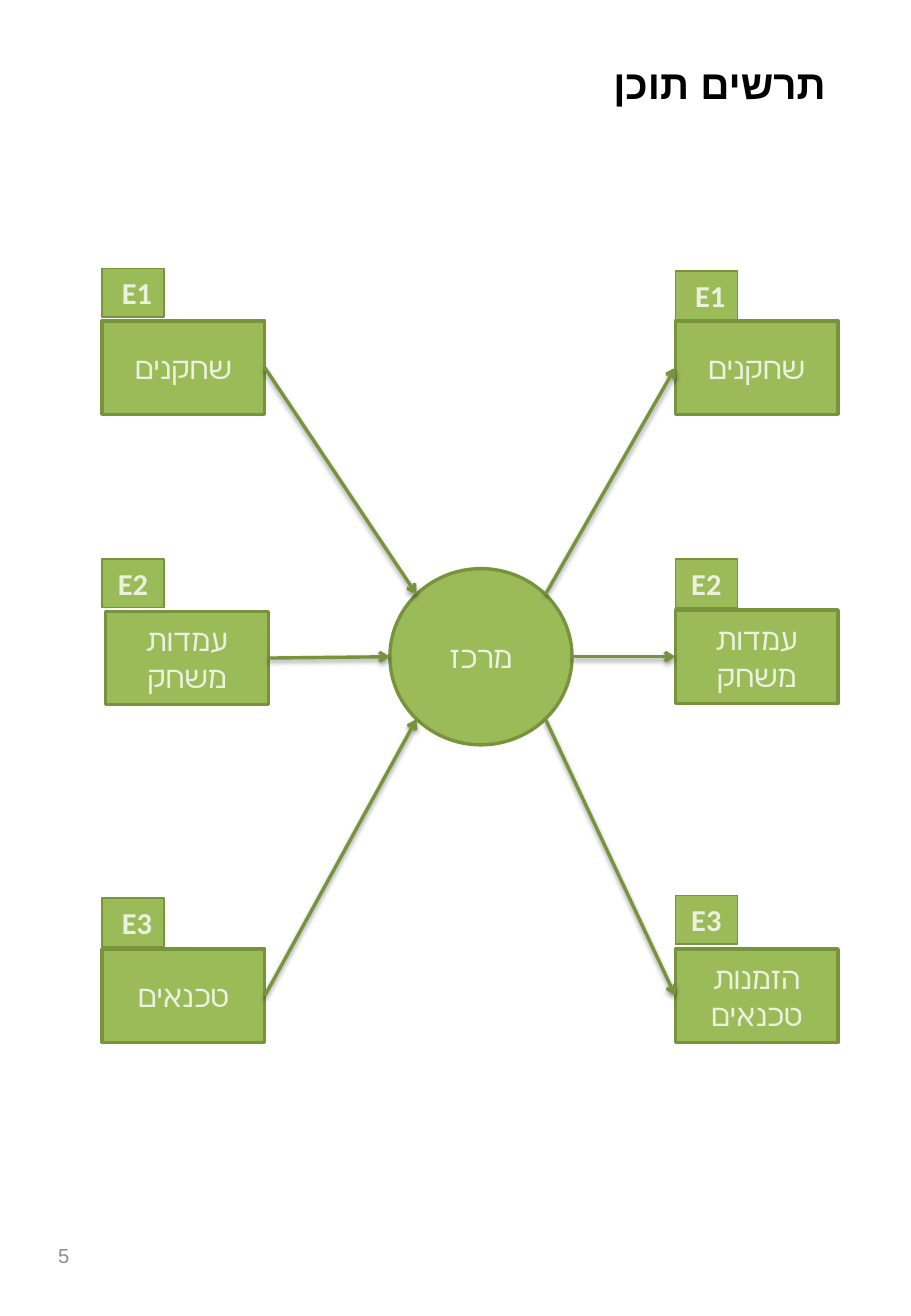
import math
import pptx
import pptx.util
import pptx.dml.color
import pptx.enum.shapes
import pptx.enum.text
import pptx.oxml
import pptx.oxml.ns

Shape = pptx.enum.shapes.MSO_SHAPE
Align = pptx.enum.text.PP_ALIGN
Anchor = pptx.enum.text.MSO_ANCHOR
Fit = pptx.enum.text.MSO_AUTO_SIZE
Pt = pptx.util.Pt

GREEN, DARK_GREEN, PALE = "9BBB59", "77933C", "EBF1DE"
NAMESPACE = 'xmlns:a="http://schemas.openxmlformats.org/drawingml/2006/main"'
ARROWHEAD = f'<a:tailEnd {NAMESPACE} type="arrow"/>'
SOFT_SHADOW = (
    f'<a:effectLst {NAMESPACE}><a:outerShdw blurRad="{Pt(3.1)}" dist="{Pt(1.6)}" '
    'dir="5400000" rotWithShape="0"><a:srgbClr val="000000"><a:alpha val="38000"/>'
    '</a:srgbClr></a:outerShdw></a:effectLst>')


def hue(code):
    """Turn a hex string into a colour."""
    return pptx.dml.color.RGBColor.from_string(code)


def write(holder, text, size=18, font="Calibri", color=PALE, bold=False,
          align=Align.CENTER, anchor=Anchor.MIDDLE, fit=Fit.NONE):
    """Fill a shape with right-to-left text, one paragraph per line."""
    frame = holder.text_frame
    frame.text = text
    frame.word_wrap = True
    frame.vertical_anchor = anchor
    frame.auto_size = fit
    for paragraph in frame.paragraphs:
        paragraph.alignment = align
        paragraph._p.get_or_add_pPr().set("rtl", "1")
        for run in paragraph.runs:
            run.font.size, run.font.name, run.font.bold = Pt(size), font, bold
            run.font.color.rgb = hue(color)
            script_font = run._r.get_or_add_rPr().makeelement(
                pptx.oxml.ns.qn("a:cs"), {"typeface": font})
            run._r.rPr.append(script_font)


deck = pptx.Presentation()
deck.slide_width = pptx.util.Inches(7.5)
deck.slide_height = pptx.util.Inches(10.83)
column, row = deck.slide_width / 100, deck.slide_height / 100
slide = deck.slides.add_slide(deck.slide_layouts[5])

heading = slide.shapes.title
heading.left, heading.top = round(6.93 * column), round(2.77 * row)
heading.width, heading.height = round(85.07 * column), round(7.11 * row)
write(heading, "תרשים תוכן", size=24, font="Arial", color="000000", bold=True,
      align=Align.RIGHT)

page_number = slide.shapes.add_textbox(
    round(5.07 * column), round(92.71 * row), round(23.33 * column), round(5.36 * row))
write(page_number, "5", size=12, font="Arial", color="8C8C8C", align=Align.LEFT)

# Places are in hundredths of the slide: columns across, rows down
SOURCES, TARGETS = 11.2, 74.13
BOX, TAG, HUB = (17.87, 7.11), (6.8, 3.69), (20, 13.39)
entities = [
    # side, box shift, box top, box text, tag top, tag text, tag alignment
    (SOURCES, 0, 24.38, "שחקנים", 20.41, "E1", Align.RIGHT),
    (SOURCES, 0.4, 46.45, "עמדות משחק", 42.47, "E2", Align.CENTER),
    (SOURCES, 0, 72.11, "טכנאים", 68.24, "E3", Align.RIGHT),
    (TARGETS, 0, 24.38, "שחקנים", 20.59, "E1", Align.RIGHT),
    (TARGETS, 0, 46.35, "עמדות משחק", 42.47, "E2", Align.CENTER),
    (TARGETS, 0, 72.11, "הזמנות\nטכנאים", 68.05, "E3", Align.CENTER),
]
tag_format = {"bold": True, "anchor": Anchor.TOP, "fit": Fit.SHAPE_TO_FIT_TEXT}
nodes = [(Shape.OVAL, 42.8, 43.21, HUB, 2, "מרכז", {})]
for side, shift, top, name, tag_top, code, align in entities:
    nodes.append((Shape.RECTANGLE, side, tag_top, TAG, 0.75, code,
                  {"align": align, **tag_format}))
    nodes.append((Shape.RECTANGLE, side + shift, top, BOX, 2, name, {}))

drawn = []
for outline, left, top, (width, height), weight, text, text_format in nodes:
    node = slide.shapes.add_shape(outline, round(left * column), round(top * row),
                                  round(width * column), round(height * row))
    node.shadow.inherit = False
    node.fill.solid()
    node.fill.fore_color.rgb = hue(GREEN)
    node.line.color.rgb = hue(DARK_GREEN)
    node.line.width = Pt(weight)
    write(node, text, **text_format)
    drawn.append(node)

# Each flow meets the hub at 45 degrees above, level with, or below its centre
hub, boxes = drawn[0], drawn[2::2]
for index, box in enumerate(boxes):
    incoming = index < 3
    angle = math.radians((index % 3 - 1) * 45)
    reach = math.cos(angle) * hub.width / 2 * (-1 if incoming else 1)
    hub_x = round(hub.left + hub.width / 2 + reach)
    hub_y = round(hub.top + hub.height / 2 + math.sin(angle) * hub.height / 2)
    flow = slide.shapes.add_connector(
        pptx.enum.shapes.MSO_CONNECTOR.STRAIGHT, hub_x, hub_y, hub_x, hub_y)
    if incoming:
        flow.begin_connect(box, 3)
    else:
        flow.end_connect(box, 1)
    flow.line.color.rgb = hue(DARK_GREEN)
    flow.line.width = Pt(2)
    flow.line._get_or_add_ln().append(pptx.oxml.parse_xml(ARROWHEAD))
    flow._element.spPr.append(pptx.oxml.parse_xml(SOFT_SHADOW))

deck.save("out.pptx")
